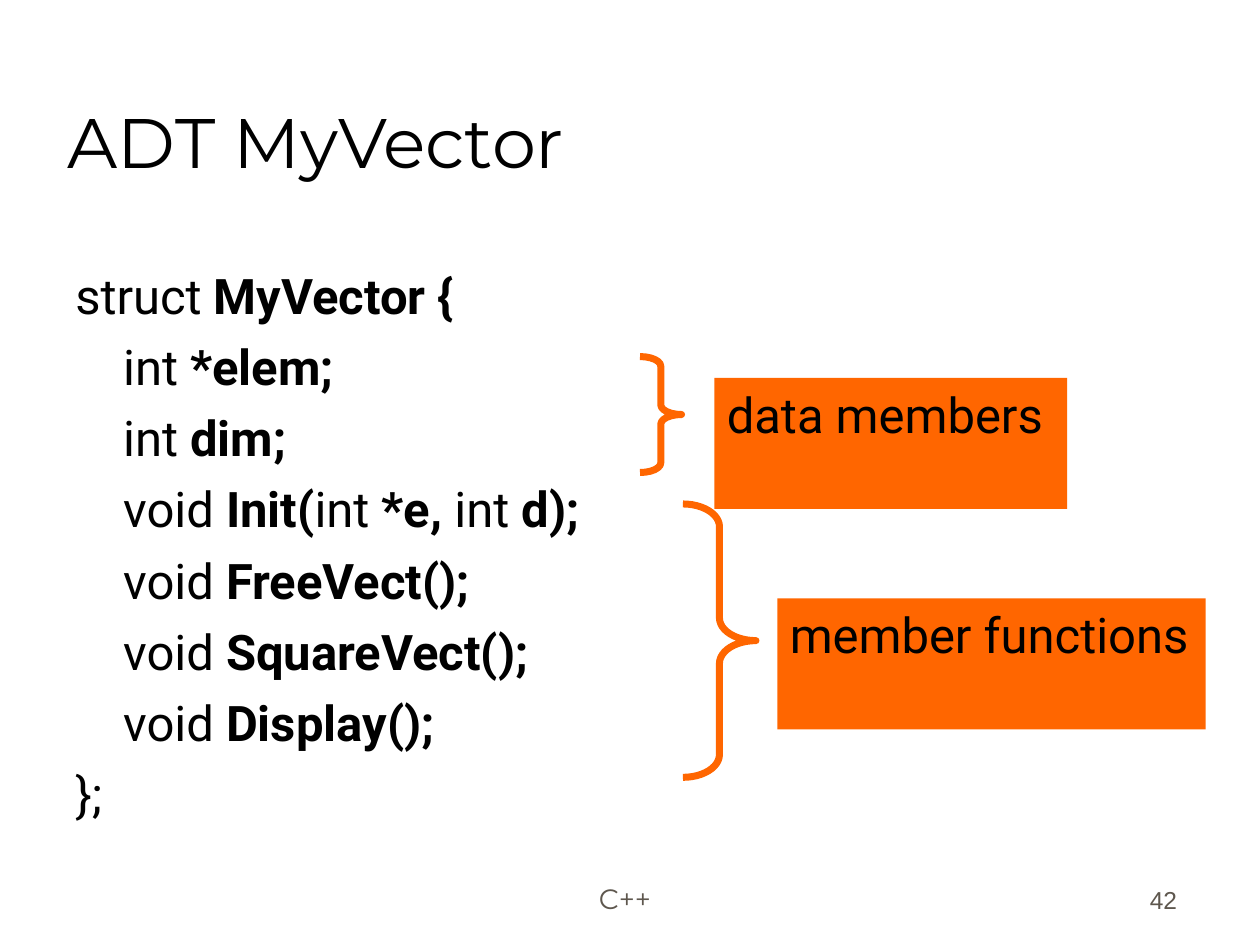
from dataclasses import dataclass

from pptx import Presentation
from pptx.dml.color import RGBColor
from pptx.enum.shapes import MSO_SHAPE
from pptx.enum.text import MSO_ANCHOR, PP_ALIGN
from pptx.util import Inches, Pt


@dataclass(frozen=True)
class Theme:
    ink: RGBColor = RGBColor(0x00, 0x00, 0x00)
    muted: RGBColor = RGBColor(0x5E, 0x57, 0x4E)
    accent: RGBColor = RGBColor(0xFF, 0x66, 0x00)
    heading_font: str = "Montserrat"
    body_font: str = "Roboto"
    number_font: str = "Arial"
    title_size: Pt = Pt(40)
    body_size: Pt = Pt(28)
    footer_size: Pt = Pt(16)
    number_size: Pt = Pt(14)
    brace_width: Pt = Pt(4)


THEME = Theme()
BODY = {"name": THEME.body_font, "size": THEME.body_size}
CODE = [
    (0, ["struct", " MyVector {"]),
    (0.38, ["int", " *elem;"]),
    (0.38, ["int", " dim;"]),
    (0.38, ["void", " Init(", "int", " *e, ", "int", " d);"]),
    (0.38, ["void", " FreeVect();"]),
    (0.38, ["void", " SquareVect();"]),
    (0.38, ["void", " Display();"]),
    (0, ["};"]),
]


def apply(target, values):
    for name, value in values.items():
        setattr(target, name, value)


def add_run(paragraph, text, font, color=THEME.ink, bold=False):
    run = paragraph.add_run()
    run.text = text
    apply(run.font, {**font, "bold": bold})
    run.font.color.rgb = color


def add_box(slide, box, anchor=MSO_ANCHOR.TOP):
    shape = slide.shapes.add_textbox(*map(Inches, box))
    apply(shape.text_frame, {"word_wrap": True, "vertical_anchor": anchor})
    return shape.text_frame


def add_line(slide, box, text, font, color, align):
    paragraph = add_box(slide, box, MSO_ANCHOR.BOTTOM).paragraphs[0]
    paragraph.alignment = align
    add_run(paragraph, text, font, color)


def add_code(slide, box, lines):
    frame = add_box(slide, box)
    for index, (indent, parts) in enumerate(lines):
        paragraph = frame.add_paragraph() if index else frame.paragraphs[0]
        paragraph.space_before = Pt(7)
        paragraph._p.get_or_add_pPr().set("marL", str(Inches(indent)))
        for position, part in enumerate(parts):
            add_run(paragraph, part, BODY, bold=position % 2 == 1)


def add_brace(slide, box):
    shape = slide.shapes.add_shape(MSO_SHAPE.RIGHT_BRACE, *map(Inches, box))
    shape.shadow.inherit = False
    shape.adjustments[0] = box[3] / box[2] / 12
    shape.fill.background()
    shape.line.color.rgb = THEME.accent
    shape.line.width = THEME.brace_width


def add_label(slide, box, text):
    shape = slide.shapes.add_shape(MSO_SHAPE.RECTANGLE, *map(Inches, box))
    shape.shadow.inherit = False
    shape.fill.solid()
    shape.fill.fore_color.rgb = THEME.accent
    shape.line.fill.background()
    apply(shape.text_frame, {"word_wrap": True, "vertical_anchor": MSO_ANCHOR.TOP})
    paragraph = shape.text_frame.paragraphs[0]
    apply(paragraph, {"alignment": PP_ALIGN.LEFT, "space_before": Pt(10.5)})
    add_run(paragraph, text, BODY)


def main():
    presentation = Presentation()
    apply(presentation, {"slide_width": Inches(10), "slide_height": Inches(7.5)})
    slide = presentation.slides.add_slide(presentation.slide_layouts[6])
    heading = {"name": THEME.heading_font, "size": THEME.title_size}
    footer = {"name": THEME.heading_font, "size": THEME.footer_size}
    number = {"name": THEME.number_font, "size": THEME.number_size}
    add_line(slide, (2.75, 6.81, 4.42, 0.5), "C++", footer, THEME.muted, PP_ALIGN.CENTER)
    add_line(slide, (7.75, 6.81, 1.69, 0.5), "42", number, THEME.muted, PP_ALIGN.RIGHT)
    add_line(slide, (0.44, 0.25, 8.5, 1.25), "ADT MyVector", heading, THEME.ink, PP_ALIGN.LEFT)
    add_code(slide, (0.5, 2.06, 8.94, 4.56), CODE)
    add_brace(slide, (5.08, 2.83, 0.33, 0.92))
    add_label(slide, (5.67, 3, 2.8, 1.04), "data members")
    add_brace(slide, (5.42, 4, 0.58, 2.17))
    add_label(slide, (6.17, 4.75, 3.4, 1.04), "member functions")
    presentation.save("out.pptx")


main()
